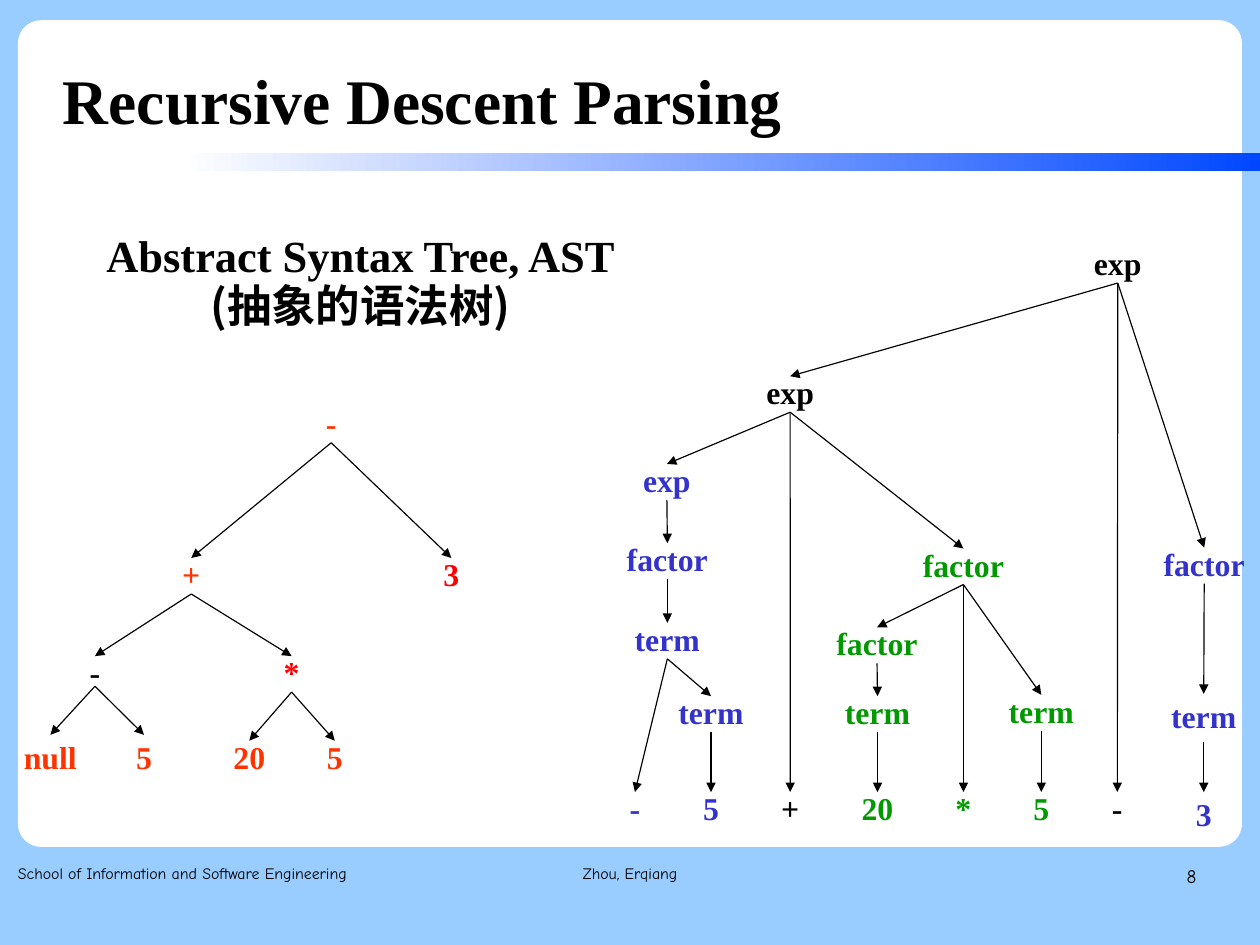
from dataclasses import dataclass

from lxml.etree import SubElement
from pptx import Presentation
from pptx.dml.color import RGBColor
from pptx.enum.shapes import MSO_CONNECTOR, MSO_SHAPE
from pptx.enum.text import MSO_ANCHOR as Anchor, MSO_AUTO_SIZE as AutoSize, PP_ALIGN as Align
from pptx.oxml.ns import qn
from pptx.shapes.autoshape import Shape
from pptx.slide import Slide
from pptx.text.text import TextFrame
from pptx.util import Cm, Pt

SERIF, HAND, CHINESE = "Times New Roman", "Comic Neue", "Noto Sans CJK SC"
BLACK, WHITE, BLUE, GREEN = "000000", "FFFFFF", "3333CC", "009900"
ORANGE, RED = "FF3300", "FF0000"
NODE_HEIGHT = 0.8
NODE_WIDTHS = {"exp": 1.07, "factor": 1.8, "term": 1.44, "null": 1.17, "20": 0.71,
               "5": 0.36, "3": 0.36, "*": 0.36, "+": 0.41, "-": 0.23}
TOKEN_ROW, LEAF_ROW = 17.6, 16.46
BOTTOM_SITE, TOP_SITE = 2, 0


@dataclass
class Node:
    """A tree label; lengths in cm, x is its centre."""
    text: str
    x: float
    top: float
    color: str
    children: tuple["Node", ...] = ()
    padding: float = 0  # extra height above and below the label
    lift: float = 0  # how far the incoming arrow is raised


@dataclass
class FooterText:
    text: str
    left: float
    width: float
    size: float
    align: Align


PARSE_TREE = Node("exp", 24.84, 5.49, BLACK, (
    Node("exp", 17.56, 8.36, BLACK, (
        Node("exp", 14.82, 10.31, BLUE, (
            Node("factor", 14.83, 12.07, BLUE, (
                Node("term", 14.83, 13.84, BLUE, (
                    Node("-", 14.11, TOKEN_ROW, BLUE),
                    Node("term", 15.8, 15.47, BLUE, (
                        Node("5", 15.8, TOKEN_ROW, BLUE),)),
                )),
            )),
        )),
        Node("+", 17.56, TOKEN_ROW, BLACK),
        Node("factor", 21.41, 12.19, GREEN, (
            Node("factor", 19.49, 13.94, GREEN, (
                Node("term", 19.5, 15.47, GREEN, (
                    Node("20", 19.5, TOKEN_ROW, GREEN),)),
            )),
            Node("*", 21.41, TOKEN_ROW, GREEN),
            Node("term", 23.14, 15.44, GREEN, (
                Node("5", 23.14, TOKEN_ROW, GREEN),)),
        )),
    )),
    Node("-", 24.83, TOKEN_ROW, BLACK),
    Node("factor", 26.76, 12.17, BLUE, (
        Node("term", 26.75, 15.42, BLUE, (
            Node("3", 26.75, TOKEN_ROW, BLUE, padding=0.13),
        ), padding=0.13),
    )),
))

SYNTAX_TREE = Node("-", 7.36, 9.04, ORANGE, (
    Node("+", 4.25, 12.4, ORANGE, (
        Node("-", 2.11, 14.58, BLACK, (
            Node("null", 1.12, LEAF_ROW, ORANGE, lift=0.13),
            Node("5", 3.2, LEAF_ROW, ORANGE, lift=0.13),
        )),
        Node("*", 6.48, 14.58, RED, (
            Node("20", 5.54, LEAF_ROW, ORANGE),
            Node("5", 7.44, LEAF_ROW, ORANGE),
        )),
    )),
    Node("3", 10.03, 12.4, RED),
))

FOOTER = (
    FooterText("School of Information and Software Engineering", 0.4, 8.6, 10, Align.LEFT),
    FooterText("Zhou, Erqiang", 9.57, 8.86, 10, Align.CENTER),
    FooterText("8", 20.06, 6.53, 12, Align.RIGHT),
)


def rgb(color: str) -> RGBColor:
    return RGBColor.from_string(color)


def format_text(frame: TextFrame, font: str, size: float, color: str = BLACK, bold: bool = False,
                align: Align = Align.CENTER, spacing: float = 0.93) -> None:
    frame.margin_left = frame.margin_right = frame.margin_top = frame.margin_bottom = 0
    frame.auto_size = AutoSize.NONE
    for paragraph in frame.paragraphs:
        paragraph.alignment = align
        paragraph.line_spacing = spacing
        for run in paragraph.runs:
            run.font.name = font
            run.font.size = Pt(size)
            run.font.bold = bold
            run.font.color.rgb = rgb(color)


def add_text(slide: Slide, text: str, left: float, top: float, width: float, height: float) -> Shape:
    box = slide.shapes.add_textbox(Cm(left), Cm(top), Cm(width), Cm(height))
    box.text_frame.text = text
    return box


def add_panel(slide: Slide, kind: MSO_SHAPE, left: float, top: float, width: float,
              height: float) -> Shape:
    panel = slide.shapes.add_shape(kind, Cm(left), Cm(top), Cm(width), Cm(height))
    panel.shadow.inherit = False
    panel.line.fill.background()
    return panel


def add_arrow(slide: Slide, parent: Shape, child: Shape, lift: float) -> None:
    arrow = slide.shapes.add_connector(
        MSO_CONNECTOR.STRAIGHT,
        parent.left + parent.width // 2, parent.top + parent.height - Cm(lift),
        child.left + child.width // 2, child.top - Cm(lift))
    if not lift:
        arrow.begin_connect(parent, BOTTOM_SITE)
        arrow.end_connect(child, TOP_SITE)
    arrow.line.color.rgb = rgb(BLACK)
    arrow.line.width = Pt(0.75)
    SubElement(arrow.line._get_or_add_ln(), qn("a:tailEnd"), type="triangle")
    SubElement(arrow._element.spPr, qn("a:effectLst"))


def draw_tree(slide: Slide, node: Node) -> Shape:
    width = NODE_WIDTHS[node.text]
    label = add_text(slide, node.text, node.x - width / 2, node.top,
                     width, NODE_HEIGHT + 2 * node.padding)
    format_text(label.text_frame, SERIF, 20, node.color, bold=True)
    label.text_frame.word_wrap = False
    label.text_frame.vertical_anchor = Anchor.MIDDLE
    for child in node.children:
        add_arrow(slide, label, draw_tree(slide, child), child.lift)
    return label


def main() -> None:
    presentation = Presentation()
    presentation.slide_width, presentation.slide_height = Cm(28), Cm(21)
    slide = presentation.slides.add_slide(presentation.slide_layouts[5])

    # Background, white panel and gradient band
    slide.background.fill.solid()
    slide.background.fill.fore_color.rgb = rgb("99CCFF")
    panel = add_panel(slide, MSO_SHAPE.ROUNDED_RECTANGLE, 0.4, 0.45, 27.2, 18.37)
    panel.adjustments[0] = 0.028
    panel.fill.solid()
    panel.fill.fore_color.rgb = rgb(WHITE)
    band = add_panel(slide, MSO_SHAPE.RECTANGLE, 4, 3.4, 24, 0.4)
    band.fill.gradient()
    band.fill.gradient_angle = 0
    for stop, position, color in zip(band.fill.gradient_stops, (0, 1), (WHITE, "0047FF")):
        stop.position = position
        stop.color.rgb = rgb(color)

    # Title, brought in front of the panel
    title = slide.shapes.title
    title._element.getparent().append(title._element)
    title.left, title.top, title.width, title.height = Cm(1.4), Cm(0.84), Cm(21.8), Cm(2.56)
    title.text_frame.text = "Recursive Descent Parsing"
    title.text_frame.vertical_anchor = Anchor.MIDDLE
    format_text(title.text_frame, SERIF, 40, bold=True, align=Align.LEFT, spacing=1.1)

    # Footer
    for item in FOOTER:
        box = add_text(slide, item.text, item.left, 19.13, item.width, 1.45)
        box.text_frame.word_wrap = True
        format_text(box.text_frame, HAND, item.size, align=item.align, spacing=1.16)

    # Heading of the syntax tree
    heading = add_text(slide, "Abstract Syntax Tree, AST\n(抽象的语法树)", 2.03, 5.18, 11.96, 2.2)
    format_text(heading.text_frame, SERIF, 28, bold=True)
    heading.text_frame.word_wrap = False
    chinese_font = heading.text_frame.paragraphs[1].runs[0].font
    chinese_font.name = CHINESE
    SubElement(chinese_font._element, qn("a:ea"), typeface=CHINESE)

    # Trees
    for root in (PARSE_TREE, SYNTAX_TREE):
        draw_tree(slide, root)

    presentation.save("out.pptx")


if __name__ == "__main__":
    main()
